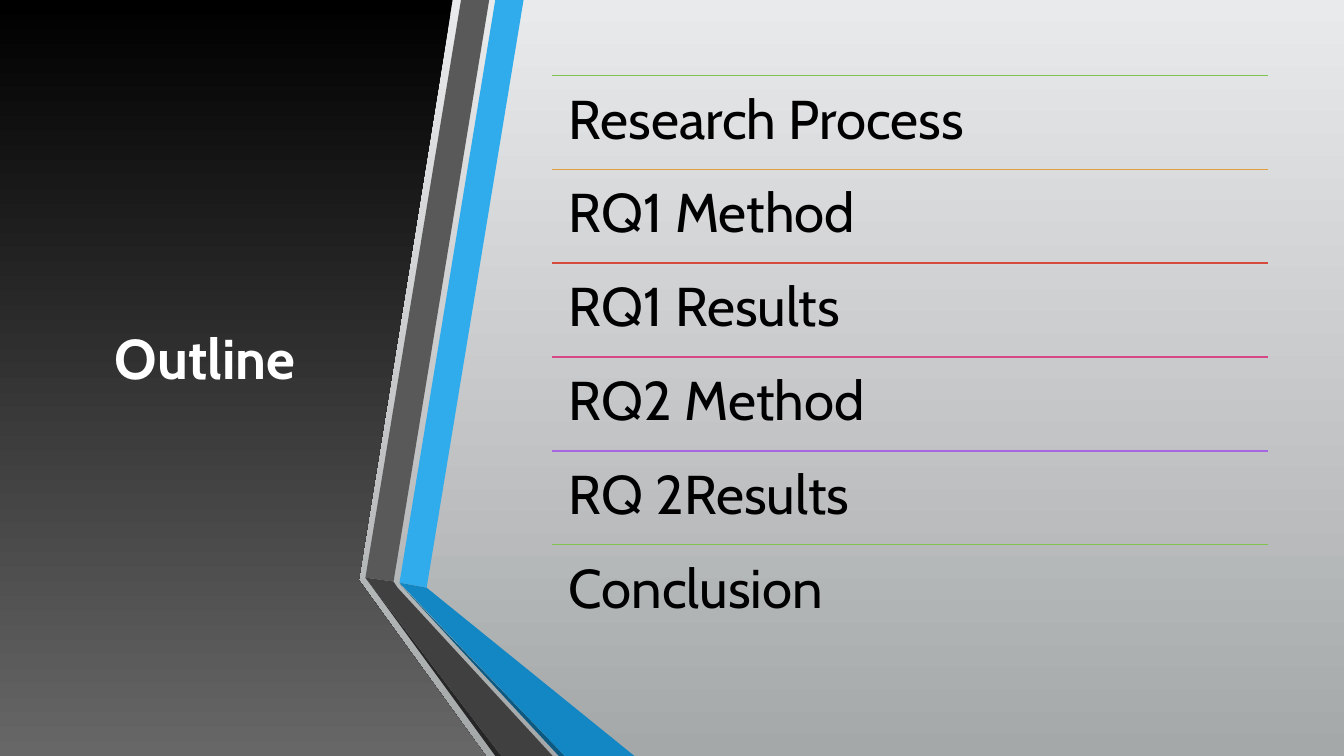
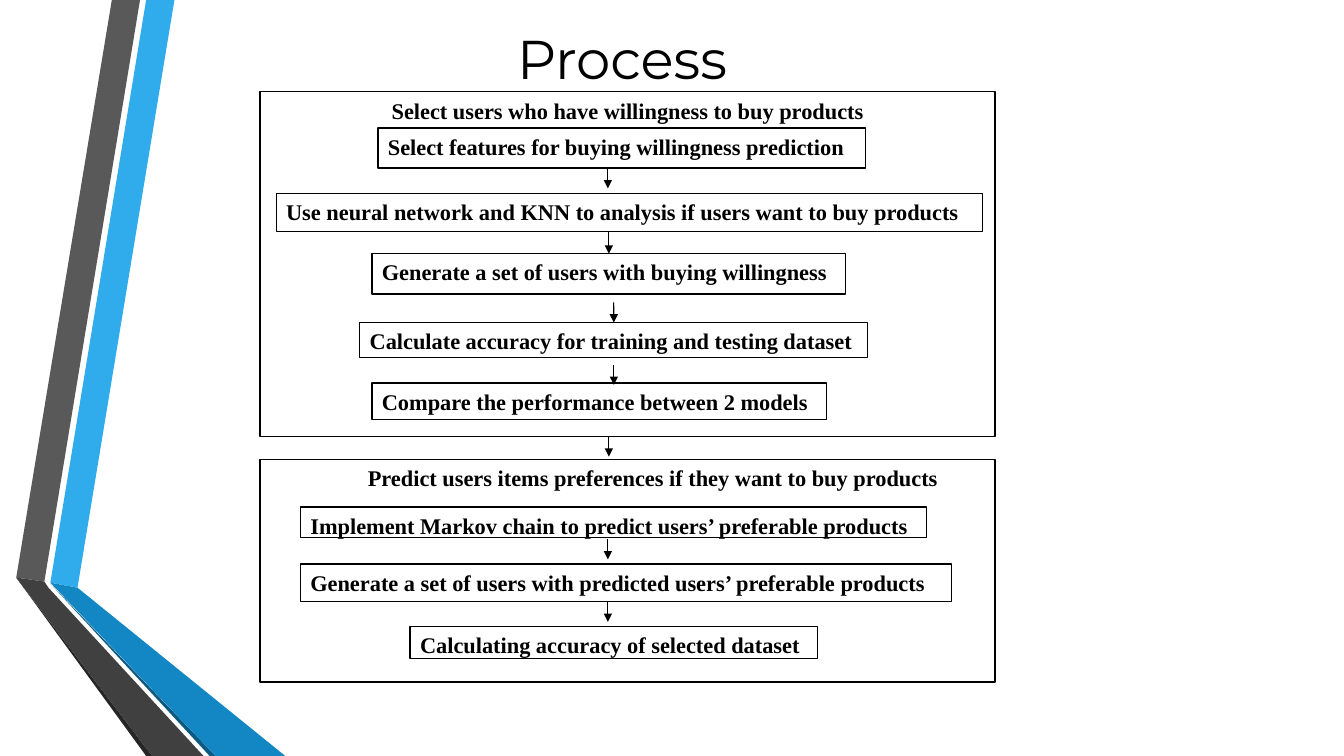
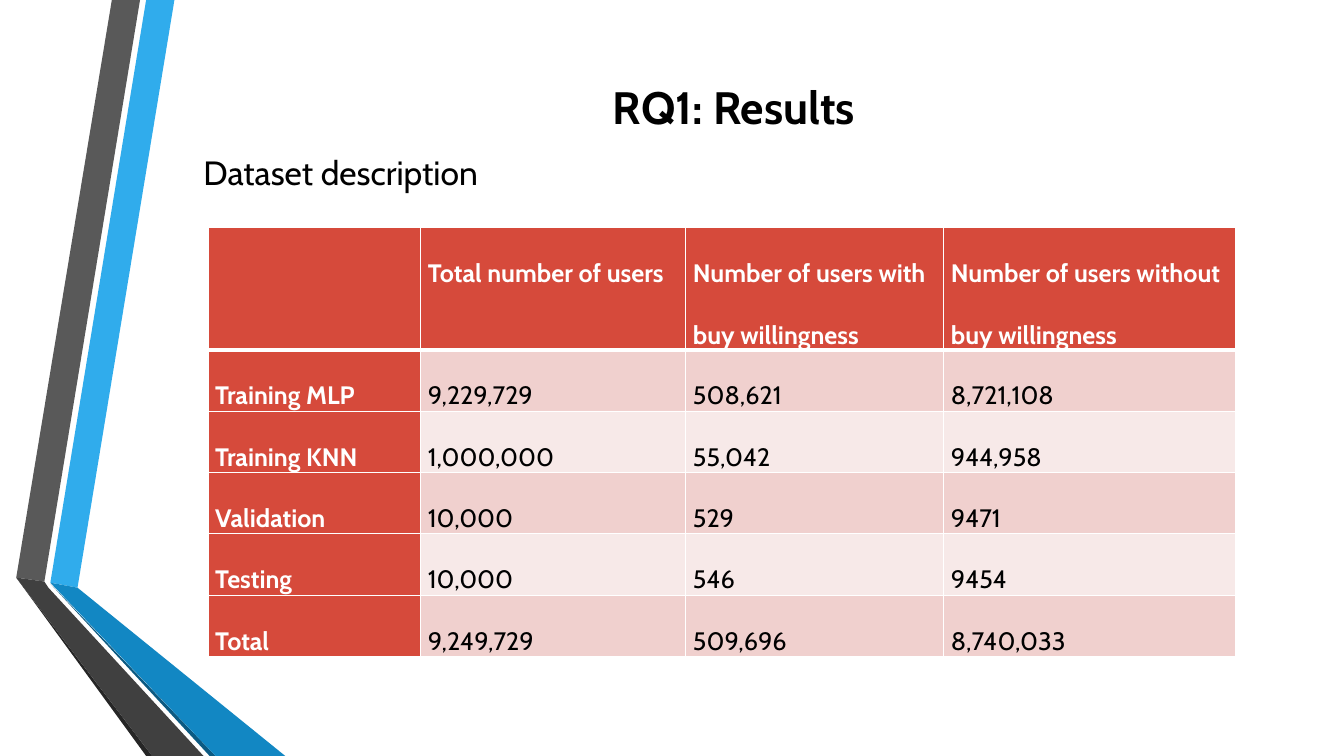
"""Build a three-slide deck on buying research: outline, process and results."""
import dataclasses
import typing

import lxml.etree
import pptx
import pptx.dml.color
import pptx.enum.shapes
import pptx.enum.text
import pptx.oxml.ns
import pptx.util

Pt = pptx.util.Pt
ALIGN = pptx.enum.text.PP_ALIGN
ANCHOR = pptx.enum.text.MSO_ANCHOR
WIDE, HIGH = 960, 540
BLACK, WHITE, RED = "000000", "FFFFFF", "D64A3B"
BODY, SERIF, THIN = "Cabin", "Times New Roman", "Montserrat"
BANDS = ("F0D0CE", "F7E9E8")
SHIFT = 249.4
ARROW = 14.4


class Piece(typing.NamedTuple):
    """One flat outline of the ribbon."""
    color: str
    points: tuple


class Topic(typing.NamedTuple):
    """One entry of the outline with the colour of its rule."""
    text: str
    color: str


@dataclasses.dataclass
class Box:
    """One framed step of the process."""
    text: str
    left: float
    top: float
    width: float
    height: float
    align: typing.Any = ALIGN.LEFT
    indent: float = 0


class Arrow(typing.NamedTuple):
    """One short arrow down, joined to the step it aims at, if any."""
    left: float
    top: float
    aim: typing.Optional[str] = None


RIBBON = (
    Piece("30ACEC", ((36, 416.2), (55.4, 419.8), (124.6, 0), (104.4, 0))),
    Piece("595959", ((100, 0), (79.9, 0), (11.6, 412.6), (31.7, 415.4))),
    Piece("262626", ((11.6, 412.6), (104.4, 540), (108.7, 540))),
    Piece("0C5A82", ((36, 416.9), (149.8, 540), (154.1, 540))),
    Piece("1287C3", ((36, 416.2), (154.1, 540), (203.8, 540), (55.4, 419.8))),
    Piece("404040", ((145.4, 540), (34.6, 419.8), (31.7, 415.4), (11.6, 412.6), (108.7, 540))),
)
PANEL = ((0, 0), (323.3, 0), (256.3, 414.4), (347, 540), (0, 540))

TOPICS = (
    Topic("Research Process", "80C34F"),
    Topic("RQ1 Method", "E29D3E"),
    Topic("RQ1 Results", RED),
    Topic("RQ2 Method", "D64787"),
    Topic("RQ 2Results", "A666E1"),
    Topic("Conclusion", "80C34F"),
)

USERS = "Generate a set of users with buying willingness"
SCORE = "Calculate accuracy for training and testing dataset"
BOXES = (
    Box("Select users who have willingness to buy products", 185.8, 65.5, 525, 246.2, ALIGN.CENTER),
    Box("Predict users items preferences if they want to buy products", 185.8, 328.3, 525, 159,
        ALIGN.CENTER, 36),
    Box("Select features for buying willingness prediction", 270, 91.4, 348.5, 28.8),
    Box("Use neural network and KNN to analysis if users want to buy products", 197.3, 138.2, 504.7, 27.2),
    Box(USERS, 265.7, 181.2, 338.4, 28.8),
    Box(SCORE, 257, 230.4, 362.9, 25.2),
    Box("Compare the performance between 2 models", 265.7, 273.6, 324.7, 26.2),
    Box("Implement Markov chain to predict users’ preferable products", 214.6, 362.2, 447.1, 21.8),
    Box("Generate a set of users with predicted users’ preferable products", 214.6, 403, 465.1, 26.6),
    Box("Calculating accuracy of selected dataset", 293, 447.3, 290.9, 23),
)
ARROWS = (
    Arrow(434.2, 120.2),
    Arrow(434.9, 165.4, USERS),
    Arrow(438.4, 216, SCORE),
    Arrow(438.5, 260.6),
    Arrow(434.9, 311.8),
    Arrow(434.2, 385.2),
    Arrow(434.2, 429.8),
)

COLS = (151.9, 189.4, 184.3, 208.8)
ROWS = (
    ("", "Total number of users", "Number of users with buy willingness",
     "Number of users without buy willingness"),
    ("Training MLP", "9,229,729", "508,621", "8,721,108"),
    ("Training KNN", "1,000,000", "55,042", "944,958"),
    ("Validation", "10,000", "529", "9471"),
    ("Testing", "10,000", "546", "9454"),
    ("Total", "9,249,729", "509,696", "8,740,033"),
)


def tint(code: str) -> pptx.dml.color.RGBColor:
    """Turn a hex string into a colour."""
    return pptx.dml.color.RGBColor.from_string(code)


def paint(fill, code: str) -> None:
    """Give a fill one flat colour."""
    fill.solid()
    fill.fore_color.rgb = tint(code)


def fade(fill, top: str, base: str) -> None:
    """Blend a fill from one colour at the top to another below."""
    fill.gradient()
    fill.gradient_angle = 270
    for stop, code in zip(fill.gradient_stops, (top, base)):
        stop.color.rgb = tint(code)


def write(frame, text: str, *, size: float, font: str = BODY, color: str = BLACK,
          bold: bool = False, align=ALIGN.LEFT, space: float = 1, indent: float = 0) -> None:
    """Put one formatted paragraph in a text frame."""
    para = frame.paragraphs[0]
    para.alignment = align
    para.line_spacing = space
    if indent:
        para._p.get_or_add_pPr().set("indent", str(Pt(indent)))
    run = para.add_run()
    run.text = text
    run.font.size, run.font.name, run.font.bold = Pt(size), font, bold
    run.font.color.rgb = tint(color)


def label(slide, text: str, left: float, top: float, width: float, height: float, *,
          inset: tuple = (7.2, 3.6), anchor=ANCHOR.TOP, wrap: bool = True, **style) -> None:
    """Add a text box with one paragraph."""
    frame = slide.shapes.add_textbox(Pt(left), Pt(top), Pt(width), Pt(height)).text_frame
    frame.word_wrap, frame.vertical_anchor = wrap, anchor
    frame.margin_left = frame.margin_right = Pt(inset[0])
    frame.margin_top = frame.margin_bottom = Pt(inset[1])
    write(frame, text, **style)


def trace(slide, points: tuple, shift: float = 0):
    """Add a closed outline without a line."""
    spots = [(Pt(x + shift), Pt(y)) for x, y in points]
    form = slide.shapes.build_freeform(*spots[0])
    form.add_line_segments(spots[1:], close=True)
    shape = form.convert_to_shape()
    shape.shadow.inherit = False
    shape.line.fill.background()
    return shape


def ribbon(slide, shift: float = 0) -> None:
    """Draw the folded ribbon."""
    for piece in RIBBON:
        paint(trace(slide, piece.points, shift).fill, piece.color)


def rule(slide, left: float, top: float, right: float, base: float, color: str,
         width: float, head: bool = False):
    """Draw a straight line, with an arrowhead if asked."""
    line = slide.shapes.add_connector(pptx.enum.shapes.MSO_CONNECTOR.STRAIGHT,
                                      Pt(left), Pt(top), Pt(right), Pt(base))
    line.line.color.rgb = tint(color)
    line.line.width = Pt(width)
    name = pptx.oxml.ns.qn
    props = line._element.spPr
    if head:
        lxml.etree.SubElement(props.find(name("a:ln")), name("a:tailEnd"), type="triangle")
    lxml.etree.SubElement(props, name("a:effectLst"))
    return line


def frame_box(slide, box: Box):
    """Draw one process box with its text."""
    shape = slide.shapes.add_shape(pptx.enum.shapes.MSO_SHAPE.RECTANGLE,
                                   Pt(box.left), Pt(box.top), Pt(box.width), Pt(box.height))
    shape.shadow.inherit = False
    shape.fill.background()
    shape.line.color.rgb = tint(BLACK)
    shape.line.width = Pt(1)
    shape.text_frame.word_wrap = True
    shape.text_frame.vertical_anchor = ANCHOR.TOP
    write(shape.text_frame, box.text, size=16, font=SERIF, bold=True,
          align=box.align, indent=box.indent)
    return shape


def edge(cell, row: int) -> None:
    """Give a cell white borders, thick below the header."""
    name = pptx.oxml.ns.qn
    props = cell._tc.get_or_add_tcPr()
    for side in "LRTB":
        thick = (side, row) in (("B", 0), ("T", 1))
        line = lxml.etree.SubElement(props, name(f"a:ln{side}"), w=str(Pt(3 if thick else 1)))
        fill = lxml.etree.SubElement(line, name("a:solidFill"))
        lxml.etree.SubElement(fill, name("a:srgbClr"), val=WHITE)


def outline(slide) -> None:
    """Fill the outline slide."""
    fade(slide.background.fill, "E9EAEB", "A5A8A9")
    fade(trace(slide, PANEL).fill, BLACK, "676767")
    label(slide, "Outline", 42.5, 54, 208, 402, anchor=ANCHOR.MIDDLE,
          size=40, color=WHITE, bold=True, align=ALIGN.CENTER)
    ribbon(slide, SHIFT)
    left, width, step = 394.5, 511.5, 67
    for rank, topic in enumerate(TOPICS):
        top = 54 + rank * step
        rule(slide, left, top, left + width, top, topic.color, 1.25)
        label(slide, topic.text, left, top, width, step, inset=(11.7, 11.7), size=39, space=0.9)


def process(slide) -> None:
    """Fill the process slide."""
    ribbon(slide)
    label(slide, "Process", 131.8, 0, 625, 82, anchor=ANCHOR.MIDDLE,
          size=39, font=THIN, align=ALIGN.CENTER)
    shapes = {box.text: frame_box(slide, box) for box in BOXES}
    for arrow in ARROWS:
        line = rule(slide, arrow.left, arrow.top, arrow.left, arrow.top + ARROW, BLACK, 0.75, True)
        if arrow.aim:
            line.end_connect(shapes[arrow.aim], 0)


def results(slide) -> None:
    """Fill the results slide."""
    ribbon(slide)
    label(slide, "RQ1: Results", 88.5, 56, 871.5, 40, inset=(7.2, 0), anchor=ANCHOR.MIDDLE,
          size=32.4, bold=True, align=ALIGN.CENTER)
    tall = [87.4] + [43.8] * (len(ROWS) - 1)
    table = slide.shapes.add_table(len(ROWS), len(COLS), Pt(148.5), Pt(162.5),
                                   Pt(sum(COLS)), Pt(sum(tall))).table
    table.horz_banding = False
    for col, width in zip(table.columns, COLS):
        col.width = Pt(width)
    for row, texts in enumerate(ROWS):
        table.rows[row].height = Pt(tall[row])
        for col, text in enumerate(texts):
            cell = table.cell(row, col)
            head = row == 0 or col == 0
            edge(cell, row)
            paint(cell.fill, RED if head else BANDS[(row - 1) % 2])
            cell.margin_left = cell.margin_right = Pt(5.2)
            cell.margin_top = cell.margin_bottom = Pt(0)
            if text:
                write(cell.text_frame, text, size=18, color=WHITE if head else BLACK,
                      bold=head, space=2.0)
    label(slide, "Dataset description", 138.2, 105.1, 215.3, 36, wrap=False, size=24)


def main() -> None:
    """Build and save the deck."""
    deck = pptx.Presentation()
    deck.slide_width, deck.slide_height = Pt(WIDE), Pt(HIGH)
    for fill in (outline, process, results):
        fill(deck.slides.add_slide(deck.slide_layouts[6]))
    deck.save("out.pptx")


if __name__ == "__main__":
    main()
